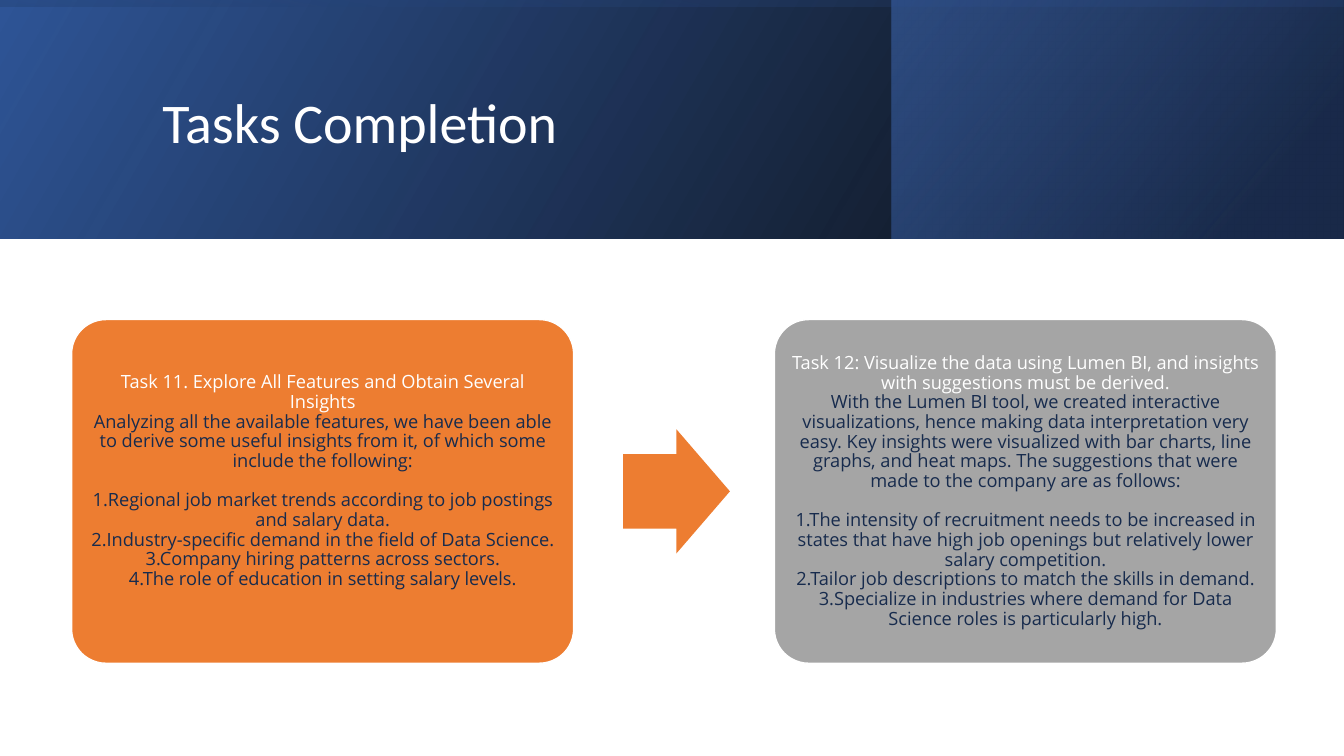
from lxml.etree import SubElement
from pptx import Presentation
from pptx.dml.color import RGBColor
from pptx.enum.shapes import MSO_SHAPE
from pptx.enum.text import MSO_ANCHOR, PP_ALIGN
from pptx.oxml.ns import qn
from pptx.util import Inches, Pt

HUES = {
    "white": "FFFFFF", "black": "000000", "navy": "203864", "deep": "2F5597",
    "blue": "4472C4", "orange": "ED7D31", "gray": "A5A5A5", "ink": "172B4D",
}


def write(par, text, font="Open Sans", size=13, hue="white",
          align=PP_ALIGN.CENTER, after=0):
    par.alignment = align
    par.line_spacing = 0.9
    par.space_before = Pt(0)
    par.space_after = Pt(after)
    run = par.add_run()
    run.text = text
    run.font.name = font
    run.font.size = Pt(size)
    run.font.color.rgb = RGBColor.from_string(HUES[hue])


class Deck:
    def __init__(self, wide, high):
        self.show = Presentation()
        self.show.slide_width = Inches(wide)
        self.show.slide_height = Inches(high)
        self.slide = self.show.slides.add_slide(self.show.slide_layouts[5])

    def shape(self, kind, box, hue=None, edge=None, adjust=()):
        item = self.slide.shapes.add_shape(kind, *map(Inches, box))
        item.shadow.inherit = False
        for spot, value in enumerate(adjust):
            item.adjustments[spot] = value
        if hue:
            item.fill.solid()
            item.fill.fore_color.rgb = RGBColor.from_string(HUES[hue])
        if edge:
            item.line.color.rgb = RGBColor.from_string(HUES[edge])
            item.line.width = Pt(1)
        else:
            item.line.fill.background()
        return item

    def band(self, box, stops, angle, turn=0):
        item = self.shape(MSO_SHAPE.RECTANGLE, box)
        item.rotation = turn
        props = item.element.spPr
        props.find(qn("a:xfrm")).set("flipH", "1")
        grad = SubElement(props, qn("a:gradFill"), rotWithShape="1")
        props.find(qn("a:prstGeom")).addnext(grad)
        group = SubElement(grad, qn("a:gsLst"))
        for place, hue, alpha in stops:
            stop = SubElement(group, qn("a:gs"), pos=str(place * 1000))
            color = SubElement(stop, qn("a:srgbClr"), val=HUES[hue])
            SubElement(color, qn("a:alpha"), val=str(alpha * 1000))
        SubElement(grad, qn("a:lin"), ang=str(angle * 60000), scaled="0")

    def title(self, text, box):
        item = self.slide.shapes.title
        item.left, item.top, item.width, item.height = map(Inches, box)
        item.text_frame.vertical_anchor = MSO_ANCHOR.MIDDLE
        item.text_frame.word_wrap = True
        write(item.text_frame.paragraphs[0], text, font="Calibri", size=40,
              align=PP_ALIGN.LEFT)
        tree = self.slide.shapes.element
        tree.remove(item.element)
        tree.append(item.element)

    def card(self, left, hue, head, intro, points, foot=0.05):
        item = self.shape(MSO_SHAPE.ROUNDED_RECTANGLE, (left, 3.17, 4.98, 3.41),
                          hue, "white", (0.1,))
        frame = item.text_frame
        frame.word_wrap = True
        frame.vertical_anchor = MSO_ANCHOR.MIDDLE
        frame.margin_left = frame.margin_right = frame.margin_top = Inches(0.05)
        frame.margin_bottom = Inches(foot)
        write(frame.paragraphs[0], head)
        write(frame.add_paragraph(), intro, hue="ink", after=14)
        for rank, point in enumerate(points, 1):
            write(frame.add_paragraph(), f"{rank}.{point}", hue="ink")

    def arrow(self, box, hue):
        self.shape(MSO_SHAPE.RIGHT_ARROW, box, hue, adjust=(0.6, 0.5))

    def save(self):
        self.show.save("out.pptx")


def main():
    deck = Deck(13.33, 7.5)
    deck.band((0, 0, 13.33, 2.37),
              [(0, "black", 96), (100, "deep", 100)], 330)
    deck.band((8.84, 0, 4.48, 2.37),
              [(19, "navy", 68), (100, "blue", 48)], 320)
    deck.band((5.48, -5.48, 2.37, 13.33),
              [(23, "deep", 16), (99, "black", 45)], 350, turn=270)
    deck.title("Tasks Completion", (1.51, 0.38, 10.63, 1.72))
    deck.card(
        0.71, "orange",
        "Task 11. Explore All Features and Obtain Several Insights",
        "Analyzing all the available features, we have been able to derive "
        "some useful insights from it, of which some include the following:",
        ["Regional job market trends according to job postings and salary data.",
         "Industry-specific demand in the field of Data Science.",
         "Company hiring patterns across sectors.",
         "The role of education in setting salary levels."],
        foot=0.25)
    deck.arrow((6.18, 4.26, 1.06, 1.23), "orange")
    deck.card(
        7.68, "gray",
        "Task 12: Visualize the data using Lumen BI, and insights with "
        "suggestions must be derived.",
        "With the Lumen BI tool, we created interactive visualizations, hence "
        "making data interpretation very easy. Key insights were visualized "
        "with bar charts, line graphs, and heat maps. The suggestions that "
        "were made to the company are as follows:",
        ["The intensity of recruitment needs to be increased in states that "
         "have high job openings but relatively lower salary competition.",
         "Tailor job descriptions to match the skills in demand.",
         "Specialize in industries where demand for Data Science roles is "
         "particularly high."])
    deck.save()


if __name__ == "__main__":
    main()
